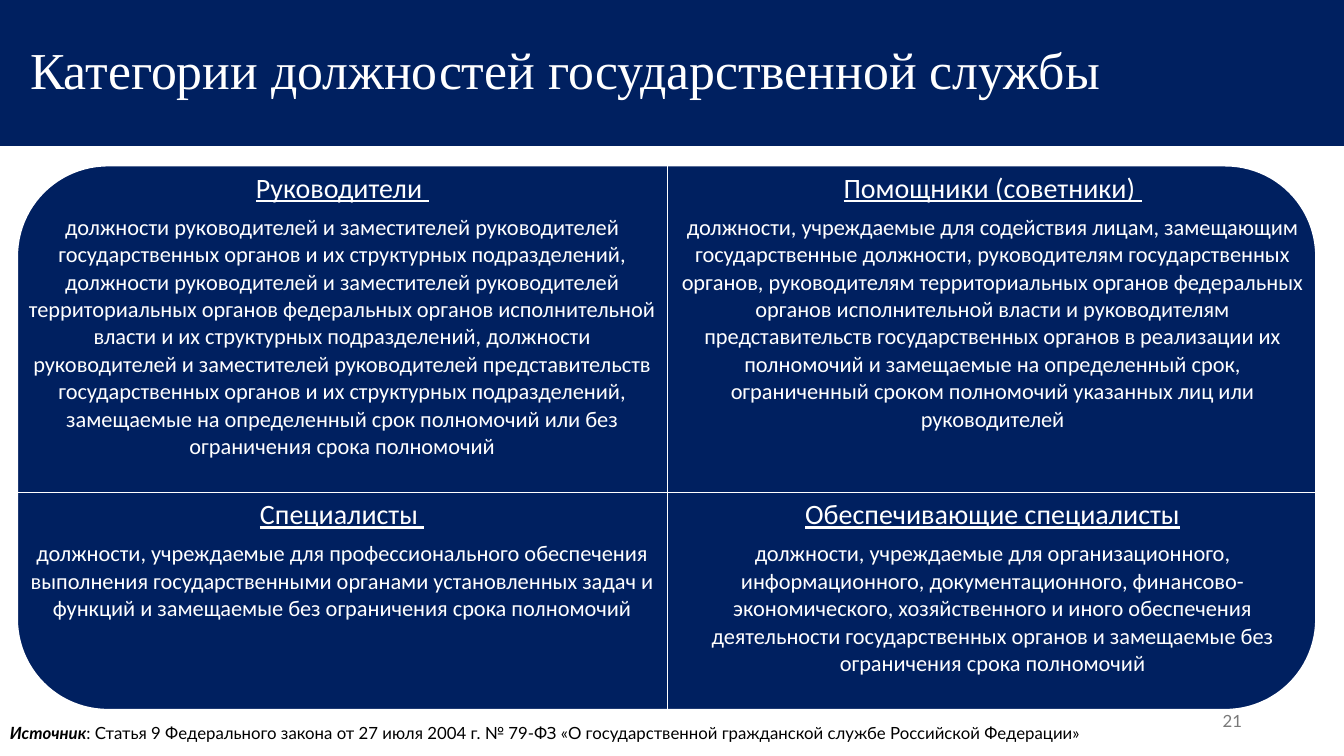
from lxml import etree
from pptx import Presentation
from pptx.dml.color import RGBColor
from pptx.enum.shapes import MSO_SHAPE
from pptx.enum.text import MSO_ANCHOR, PP_ALIGN
from pptx.oxml.ns import qn
from pptx.util import Cm, Pt

CENTER, RIGHT, MIDDLE = PP_ALIGN.CENTER, PP_ALIGN.RIGHT, MSO_ANCHOR.MIDDLE
COLORS = {"navy": "002060", "white": "FFFFFF", "black": "000000", "gray": "797979"}

TITLE = "Категории должностей государственной службы"
CATEGORIES = [
    [
        ("Руководители ",
         "должности руководителей и заместителей руководителей государственных органов "
         "и их структурных подразделений, должности руководителей и заместителей "
         "руководителей территориальных органов федеральных органов исполнительной власти "
         "и их структурных подразделений, должности руководителей и заместителей "
         "руководителей представительств государственных органов и их структурных "
         "подразделений, замещаемые на определенный срок полномочий или без ограничения "
         "срока полномочий"),
        ("Помощники (советники) ",
         "должности, учреждаемые для содействия лицам, замещающим государственные "
         "должности, руководителям государственных органов, руководителям территориальных "
         "органов федеральных органов исполнительной власти и руководителям "
         "представительств государственных органов в реализации их полномочий и "
         "замещаемые на определенный срок, ограниченный сроком полномочий указанных лиц "
         "или руководителей"),
    ],
    [
        ("Специалисты ",
         "должности, учреждаемые для профессионального обеспечения выполнения "
         "государственными органами установленных задач и функций и замещаемые без "
         "ограничения срока полномочий"),
        ("Обеспечивающие специалисты",
         "должности, учреждаемые для организационного, информационного, документационного, "
         "финансово-экономического, хозяйственного и иного обеспечения деятельности "
         "государственных органов и замещаемые без ограничения срока полномочий"),
    ],
]
SOURCE_LABEL = "Источник"
SOURCE = (": Статья 9 Федерального закона от 27 июля 2004 г. № 79-ФЗ «О государственной "
          "гражданской службе Российской Федерации»")
PAGE_NUMBER = "21"

PAGE_WIDTH, PAGE_HEIGHT = 33.87, 19.05
ROW_HEIGHTS = [8.23, 6.25]
COLUMN_WIDTH = 16.39

TITLE_FONT = {"name": "Times New Roman", "size": Pt(37), "color": "white"}
HEADING_FONT = {"name": "Calibri", "size": Pt(20), "color": "white", "underline": True}
BODY_FONT = {"name": "Calibri", "size": Pt(16), "color": "white"}
SOURCE_FONT = {"name": "Lato", "size": Pt(12), "color": "black"}
NUMBER_FONT = {"name": "Lato", "size": Pt(12), "color": "gray"}


def rgb(name):
    return RGBColor.from_string(COLORS[name])


def add_span(para, text, font):
    span = para.add_run()
    span.text = text
    for key, value in font.items():
        if key == "color":
            span.font.color.rgb = rgb(value)
        else:
            setattr(span.font, key, value)


def add_panel(page, kind, left, top, width, height):
    panel = page.shapes.add_shape(kind, Cm(left), Cm(top), Cm(width), Cm(height))
    panel.shadow.inherit = False
    panel.fill.solid()
    panel.fill.fore_color.rgb = rgb("navy")
    panel.line.fill.background()
    return panel


def add_label(page, left, top, width, height):
    box = page.shapes.add_textbox(Cm(left), Cm(top), Cm(width), Cm(height))
    box.text_frame.word_wrap = True
    return box.text_frame


def set_borders(cell, visible):
    """Draw white lines on the visible sides (of L, R, T, B) and clear the others."""
    properties = cell._tc.get_or_add_tcPr()
    for index, side in enumerate("LRTB"):
        line = etree.Element(qn(f"a:ln{side}"), w=str(Pt(1)))
        if side in visible:
            fill = etree.SubElement(line, qn("a:solidFill"))
            etree.SubElement(fill, qn("a:srgbClr"), val=COLORS["white"])
        else:
            etree.SubElement(line, qn("a:noFill"))
        properties.insert(index, line)


def fill_cell(cell, heading, body):
    frame = cell.text_frame
    rows = [(frame.paragraphs[0], heading, HEADING_FONT),
            (frame.add_paragraph(), body, BODY_FONT)]
    for para, text, font in rows:
        para.alignment = CENTER
        para.space_after = Pt(6)
        add_span(para, text, font)


def add_title(page):
    banner = add_panel(page, MSO_SHAPE.RECTANGLE, 0, 0, PAGE_WIDTH, 3.68)
    frame = banner.text_frame
    frame.word_wrap = True
    frame.vertical_anchor = MIDDLE
    frame.margin_left = Cm(0.76)
    para = frame.paragraphs[0]
    para.alignment = PP_ALIGN.LEFT
    para.line_spacing = 0.9
    add_span(para, TITLE, TITLE_FONT)


def add_categories(page):
    panel = add_panel(page, MSO_SHAPE.ROUNDED_RECTANGLE, 0.43, 4.17, 32.74, 13.72)
    panel.line.color.rgb = rgb("white")
    panel.line.width = Pt(1.5)
    grid = page.shapes.add_table(2, 2, Cm(0.43), Cm(4.19), Cm(2 * COLUMN_WIDTH),
                                 Cm(sum(ROW_HEIGHTS))).table
    grid.first_row = grid.horz_banding = False
    for column in grid.columns:
        column.width = Cm(COLUMN_WIDTH)
    for r, height in enumerate(ROW_HEIGHTS):
        grid.rows[r].height = Cm(height)
        for c, (heading, body) in enumerate(CATEGORIES[r]):
            cell = grid.cell(r, c)
            cell.fill.background()
            set_borders(cell, "RL"[c] + "BT"[r])
            fill_cell(cell, heading, body)


def add_footer(page):
    number = add_label(page, 23.93, 17.65, 7.62, 1.02)
    number.vertical_anchor = MIDDLE
    number.paragraphs[0].alignment = RIGHT
    add_span(number.paragraphs[0], PAGE_NUMBER, NUMBER_FONT)
    source = add_label(page, 0, 18.08, PAGE_WIDTH, 0.76).paragraphs[0]
    add_span(source, SOURCE_LABEL, {**SOURCE_FONT, "bold": True, "italic": True})
    add_span(source, SOURCE, SOURCE_FONT)


def main():
    deck = Presentation()
    deck.slide_width, deck.slide_height = Cm(PAGE_WIDTH), Cm(PAGE_HEIGHT)
    page = deck.slides.add_slide(deck.slide_layouts[6])
    add_title(page)
    add_categories(page)
    add_footer(page)
    deck.save("out.pptx")


if __name__ == "__main__":
    main()
